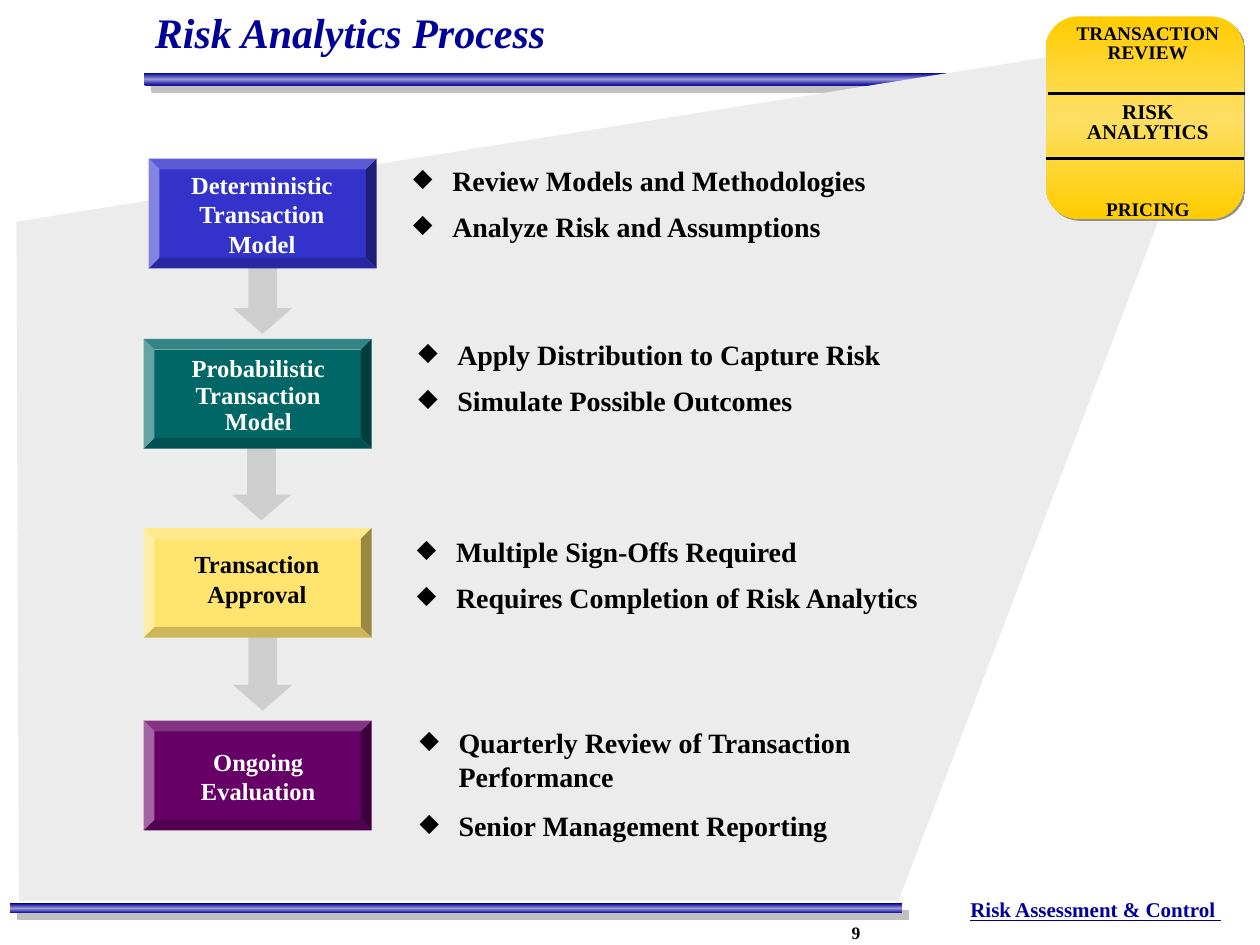
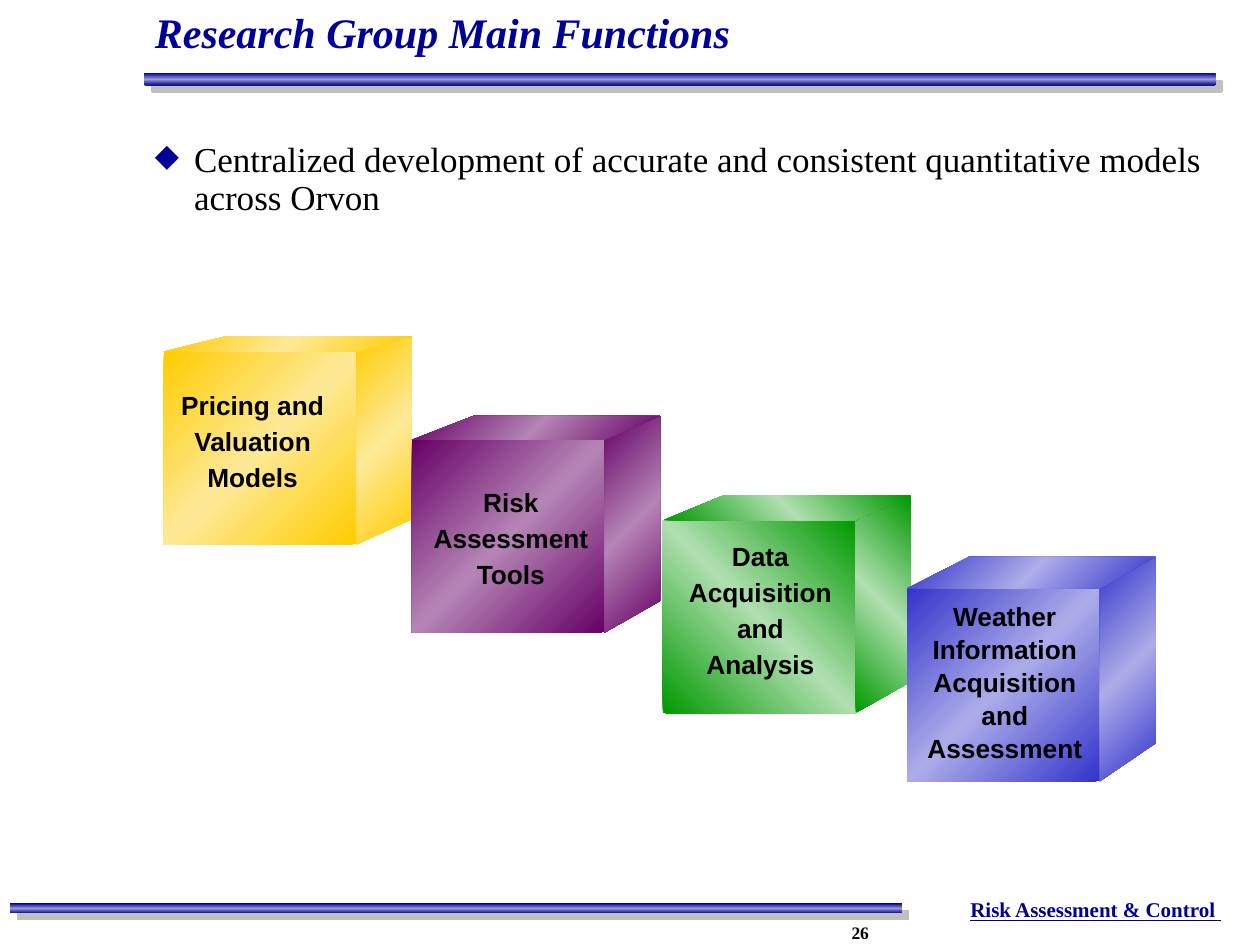
"""Build two risk-analytics slides: the process steps and the research functions."""
from pptx import Presentation
from pptx.dml.color import RGBColor
from pptx.enum import shapes as kinds, text as styles
from pptx.oxml import parse_xml
from pptx.oxml.ns import nsdecls, qn
from pptx.util import Inches, Pt

NAVY = RGBColor(0x00, 0x00, 0x99)
NAVY_LIGHT = RGBColor(0x9A, 0x9A, 0xD6)
BLUE = RGBColor(0x33, 0x33, 0xCC)
BLUE_LIGHT = RGBColor(0xAC, 0xAC, 0xE9)
TEAL = RGBColor(0x00, 0x66, 0x66)
CREAM = RGBColor(0xFF, 0xE4, 0x6F)
PURPLE = RGBColor(0x66, 0x00, 0x66)
PURPLE_LIGHT = RGBColor(0xB5, 0x85, 0xB5)
GREEN = RGBColor(0x00, 0x99, 0x00)
GREEN_LIGHT = RGBColor(0xB1, 0xDF, 0xB1)
GOLD = RGBColor(0xFF, 0xCC, 0x00)
GOLD_MID = RGBColor(0xFE, 0xDF, 0x64)
GOLD_LIGHT = RGBColor(0xFE, 0xE9, 0x98)
PANEL_GREY = RGBColor(0xEC, 0xEC, 0xEC)
ARROW_GREY = RGBColor(0xCE, 0xCE, 0xCE)
RULE_SHADOW = RGBColor(0xC0, 0xC0, 0xC0)
BADGE_SHADOW = RGBColor(0x91, 0x91, 0x91)
WHITE = RGBColor(0xFF, 0xFF, 0xFF)
BLACK = RGBColor(0x00, 0x00, 0x00)

SERIF, SANS = "Times New Roman", "Arial"
FOOTER = "Risk Assessment & Control "
RULES = [
    (kinds.MSO_SHAPE.RECTANGLE, (0.08, 7.17, 7.08, 0.08)),
    (kinds.MSO_SHAPE.ROUNDED_RECTANGLE, (1.14, 0.58, 8.51, 0.1)),
]

STEPS = [
    dict(label=["Deterministic", "Transaction", "Model"], fill=BLUE, ink=WHITE,
         block=(1.18, 1.26), label_at=(1.2, 1.3, 1.76, 0.8), label_spacing=1.0,
         points=["Review Models and Methodologies", "Analyze Risk and Assumptions"],
         points_at=(3.23, 1.28, 6.3, 0.78), points_spacing=0.9),
    dict(label=["Probabilistic Transaction", "Model"], fill=TEAL, ink=WHITE,
         block=(1.14, 2.69), label_at=(1.17, 2.78, 1.76, 0.73), label_spacing=0.9,
         points=["Apply Distribution to Capture Risk", "Simulate Possible Outcomes"],
         points_at=(3.27, 2.66, 6.3, 0.71), points_spacing=0.9),
    dict(label=["Transaction", "Approval"], fill=CREAM, ink=BLACK,
         block=(1.14, 4.19), label_at=(1.16, 4.31, 1.76, 0.57), label_spacing=1.0,
         points=["Multiple Sign-Offs Required", "Requires Completion of Risk Analytics"],
         points_at=(3.26, 4.22, 6.3, 0.71), points_spacing=0.9),
    dict(label=["Ongoing", "Evaluation"], fill=PURPLE, ink=WHITE,
         block=(1.14, 5.72), label_at=(1.2, 5.88, 1.7, 0.57), label_spacing=1.0,
         points=["Quarterly Review of Transaction\nPerformance", "Senior Management Reporting"],
         points_at=(3.28, 5.71, 6.3, 1.03), points_spacing=1.0),
]
ARROWS = [(1.85, 1.5), (1.84, 2.98), (1.85, 4.49)]
PANEL = [(0.15, 7.15), (0.13, 1.76), (9.78, 0.22), (7.13, 7.15)]
STAGES = [("TRANSACTION", 11, 0), ("REVIEW", 11, 0), ("RISK ANALYTICS", 12, 23), ("PRICING", 11, 33)]
STAGE_DIVIDERS = [(8.3, 9.87, 1.26), (8.32, 9.88, 0.74)]

MISSION = "Centralized development of accurate and consistent quantitative models across Orvon"
FUNCTIONS = [
    dict(label=["Pricing and Valuation Models"], label_at=(1.17, 3, 1.54, 0.96), spacing=1.15,
         corner=(1.3, 2.79), rise=0.12, drop=0.2, colors=(GOLD, GOLD_LIGHT), angle=225),
    dict(label=["Risk", "Assessment", "Tools"], label_at=(3.14, 3.77, 1.7, 0.96), spacing=1.15,
         corner=(3.27, 3.49), rise=0.19, drop=0.25, colors=(PURPLE, PURPLE_LIGHT), angle=225),
    dict(label=["Data", "Acquisition and", "Analysis"], label_at=(5.12, 4.2, 1.7, 1.25), spacing=1.15,
         corner=(5.26, 4.13), rise=0.2, drop=0.25, colors=(GREEN, GREEN_LIGHT), angle=135),
    dict(label=["Weather", "Information", "Acquisition", "and", "Assessment"],
         label_at=(7.06, 4.7, 1.7, 1.41), spacing=1.05,
         corner=(7.2, 4.67), rise=0.25, drop=0.3, colors=(BLUE, BLUE_LIGHT), angle=225),
]
CUBE_FACE, CUBE_DEPTH, CUBE_SLANT = 1.53, 0.44, 0.49


def inches(values):
    return [Inches(value) for value in values]


def finish(part, fill):
    part.shadow.inherit = False
    part.line.fill.background()
    part.fill.solid()
    part.fill.fore_color.rgb = fill
    return part


def add_preset(slide, kind, at, fill, adjustments=()):
    part = finish(slide.shapes.add_shape(kind, *inches(at)), fill)
    for index, value in enumerate(adjustments):
        part.adjustments[index] = value
    return part


def add_outline(slide, points, fill):
    start, *rest = [inches(point) for point in points]
    builder = slide.shapes.build_freeform(*start)
    builder.add_line_segments(rest, close=True)
    return finish(builder.convert_to_shape(), fill)


def shade(part, edge, middle, angle):
    stops = "".join(
        f'<a:gs pos="{position}"><a:srgbClr val="{color}"/></a:gs>'
        for position, color in ((0, edge), (50000, middle), (100000, edge)))
    properties = part.element.spPr
    properties.replace(properties.find(qn("a:solidFill")), parse_xml(
        f'<a:gradFill {nsdecls("a")} rotWithShape="1"><a:gsLst>{stops}</a:gsLst>'
        f'<a:lin ang="{angle * 60000}" scaled="0"/></a:gradFill>'))


def cast_shadow(part, color, distance):
    part.element.spPr.find(qn("a:effectLst")).append(parse_xml(
        f'<a:outerShdw {nsdecls("a")} dist="{Pt(distance)}" dir="2700000" algn="ctr" rotWithShape="0">'
        f'<a:srgbClr val="{color}"/></a:outerShdw>'))


def add_bullet(paragraph, color):
    properties = paragraph._p.get_or_add_pPr()
    properties.set("marL", str(Inches(0.31)))
    properties.set("indent", str(-Inches(0.31)))
    for tag in (f'buClr {nsdecls("a")}><a:srgbClr val="{color}"/></a:buClr',
                f'buSzPct {nsdecls("a")} val="90000"/',
                f'buChar {nsdecls("a")} char="◆"/'):
        properties.append(parse_xml(f"<a:{tag}>"))


def add_text(slide, at, lines, size, color, font=SERIF, bold=True, italic=False, underline=False,
             centered=False, spacing=1.0, inset=(0.1, 0.05), wrap=True, margin=0,
             anchor=styles.MSO_ANCHOR.TOP, bullet=None, before=0, after=0):
    frame = slide.shapes.add_textbox(*inches(at)).text_frame
    frame.word_wrap = wrap
    frame.vertical_anchor = anchor
    frame.margin_left = frame.margin_right = Inches(inset[0])
    frame.margin_top = frame.margin_bottom = Inches(inset[1])
    for index, line in enumerate(lines):
        paragraph = frame.add_paragraph() if index else frame.paragraphs[0]
        paragraph.text = line
        if bullet is not None:
            add_bullet(paragraph, bullet)
        if margin:
            paragraph._p.get_or_add_pPr().set("marL", str(Inches(margin)))
        paragraph.alignment = styles.PP_ALIGN.CENTER if centered else styles.PP_ALIGN.LEFT
        paragraph.line_spacing = spacing
        paragraph.space_before = Pt(before if index else 0)
        paragraph.space_after = Pt(after)
        for run in paragraph.runs:
            run.font.name, run.font.size = font, Pt(size)
            run.font.bold, run.font.italic, run.font.underline = bold, italic, underline
            run.font.color.rgb = color
    return frame


def add_base(deck, title, number):
    slide = deck.slides.add_slide(deck.slide_layouts[6])
    add_text(slide, (5.5, 7.07, 4.39, 0.3), [FOOTER], 12, NAVY, underline=True, centered=True, margin=2)
    add_text(slide, (6.66, 7.27, 0.82, 0.26), [str(number)], 10, BLACK, wrap=False)
    for kind, at in RULES:
        rule = add_preset(slide, kind, at, NAVY)
        shade(rule, NAVY, NAVY_LIGHT, 90)
        cast_shadow(rule, RULE_SHADOW, 5.7)
    add_text(slide, (1.18, 0.08, 8.53, 0.42), [title], 24, NAVY, italic=True, spacing=0.85,
             inset=(0.05, 0.05), anchor=styles.MSO_ANCHOR.BOTTOM)
    return slide


def add_stage_badge(slide):
    badge = add_preset(slide, kinds.MSO_SHAPE.ROUNDED_RECTANGLE, (8.3, 0.13, 1.57, 1.61), GOLD, [0.167])
    shade(badge, GOLD, GOLD_MID, 90)
    cast_shadow(badge, BADGE_SHADOW, 1.4)
    frame = add_text(slide, (8.42, 0.22, 1.38, 1.51), [name for name, _, _ in STAGES], 11, BLACK,
                     centered=True, spacing=0.8, inset=(0.09, 0.04), wrap=False,
                     anchor=styles.MSO_ANCHOR.MIDDLE)
    for paragraph, (_, size, gap) in zip(frame.paragraphs, STAGES):
        paragraph.space_before = Pt(gap)
        paragraph.runs[0].font.size = Pt(size)
    for left, right, y in STAGE_DIVIDERS:
        divider = slide.shapes.add_connector(kinds.MSO_CONNECTOR.STRAIGHT, *inches((left, y, right, y)))
        divider.line.color.rgb = BLACK
        divider.line.width = Pt(1.5)
        divider.element.spPr.append(parse_xml(f'<a:effectLst {nsdecls("a")}/>'))


def add_process(deck):
    slide = add_base(deck, "Risk Analytics Process", 9)
    add_outline(slide, PANEL, PANEL_GREY)
    for corner in ARROWS:
        add_preset(slide, kinds.MSO_SHAPE.DOWN_ARROW, (*corner, 0.47, 1.15), ARROW_GREY, [0.485, 0.434])
    for step in STEPS:
        add_preset(slide, kinds.MSO_SHAPE.BEVEL, (*step["block"], 1.81, 0.87), step["fill"], [0.098])
        add_text(slide, step["label_at"], step["label"], 14, step["ink"], centered=True,
                 spacing=step["label_spacing"])
        add_text(slide, step["points_at"], step["points"], 16, BLACK, spacing=step["points_spacing"],
                 inset=(0.05, 0.05), bullet=BLACK, before=3, after=6)
    add_stage_badge(slide)


def add_cube(slide, corner, rise, drop, colors, angle):
    left, top = corner
    right, bottom = left + CUBE_FACE, top + CUBE_FACE
    back, ridge = right + CUBE_DEPTH, top - rise
    front = add_preset(slide, kinds.MSO_SHAPE.RECTANGLE, (left, top, CUBE_FACE, CUBE_FACE), colors[0])
    side = add_outline(slide, [(right, top), (right, bottom), (back, bottom - drop), (back, ridge)], colors[0])
    lid = add_outline(slide, [(left, top), (right, top), (back, ridge), (left + CUBE_SLANT, ridge)], colors[0])
    for face in (front, side, lid):
        shade(face, *colors, angle)


def add_functions(deck):
    slide = add_base(deck, "Research Group Main Functions", 26)
    for item in FUNCTIONS:
        add_cube(slide, item["corner"], item["rise"], item["drop"], item["colors"], item["angle"])
    for item in FUNCTIONS:
        add_text(slide, item["label_at"], item["label"], 15, BLACK, font=SANS, centered=True,
                 spacing=item["spacing"], margin=0.13)
    add_text(slide, (1.18, 1.08, 8.51, 0.8), [MISSION], 20, BLACK, bold=False, spacing=0.9,
             inset=(0.05, 0.05), bullet=NAVY, after=7.5)


def main():
    deck = Presentation()
    deck.slide_width, deck.slide_height = Inches(10), Inches(7.5)
    add_process(deck)
    add_functions(deck)
    deck.save("out.pptx")


if __name__ == "__main__":
    main()
